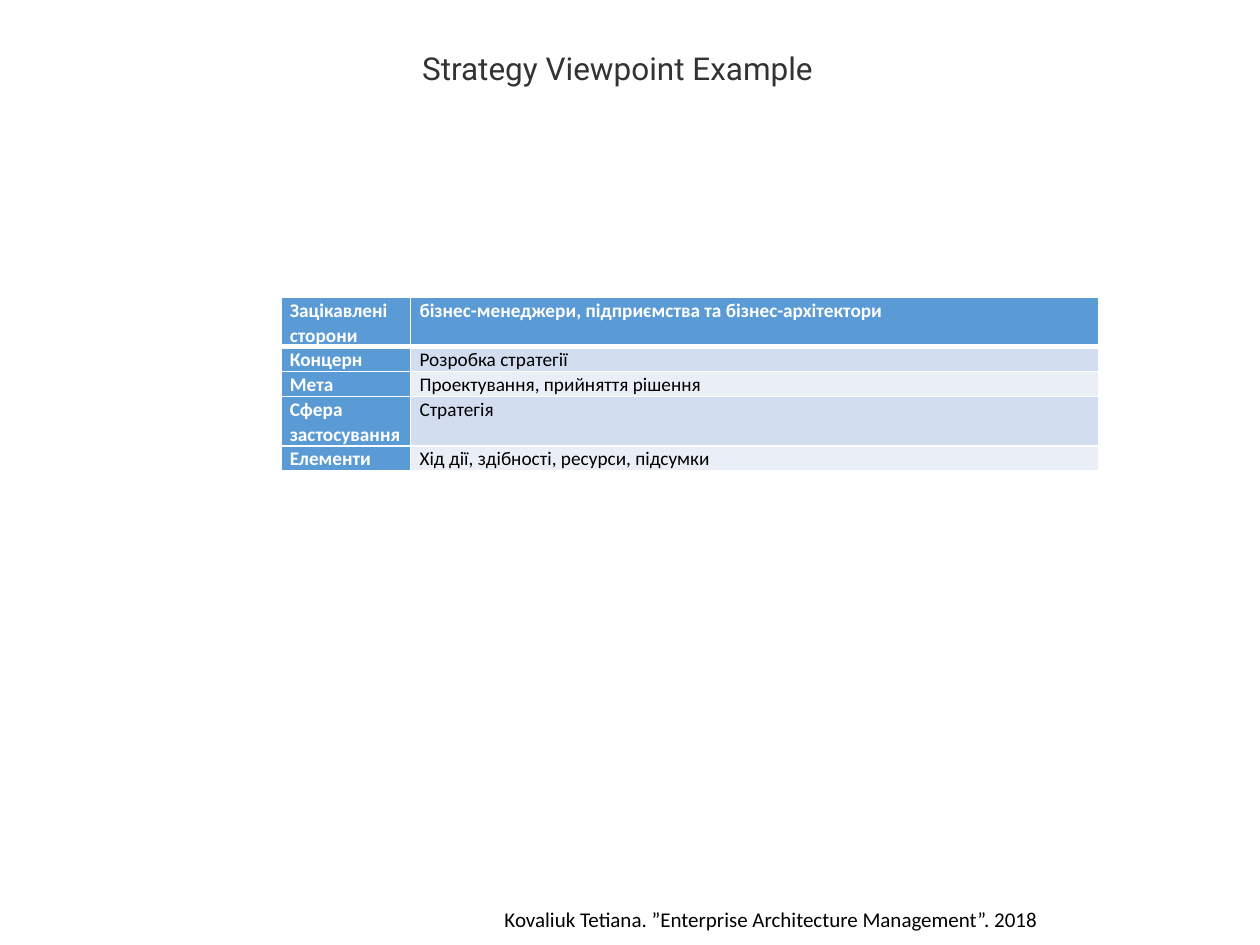
from dataclasses import dataclass

from lxml import etree
from pptx import Presentation
from pptx import util as u
from pptx.dml.color import RGBColor
from pptx.enum import text
from pptx.oxml.ns import qn

SLIDE_W, SLIDE_H = u.Inches(10), u.Inches(7.5)
WHITE, BLACK, GRAY = "FFFFFF", "000000", "333333"
BLUE, BANDS = "5B9BD5", ("EAEFF7", "D2DEEF")
LINE_H = u.Inches(0.19)  # height of one text line in the table
COLUMN_WIDTHS = (1.03, 5.46)


@dataclass(frozen=True)
class Aspect:
    label: str
    content: str
    lines: int = 1


ASPECTS = (
    Aspect("Зацікавлені сторони",
           "бізнес-менеджери, підприємства та бізнес-архітектори", 2),
    Aspect("Концерн", "Розробка стратегії"),
    Aspect("Мета", "Проектування, прийняття рішення"),
    Aspect("Сфера застосування", "Стратегія", 2),
    Aspect("Елементи", "Хід дії, здібності, ресурси, підсумки"),
)


def rgb(value: str) -> RGBColor:
    return RGBColor.from_string(value)


def format_runs(frame, size: float, font: str, color: str, bold: bool = False) -> None:
    for paragraph in frame.paragraphs:
        for run in paragraph.runs:
            run.font.size, run.font.name, run.font.bold = u.Pt(size), font, bold
            run.font.color.rgb = rgb(color)


def place(shape, left: float, top: float, width: float, height: float) -> None:
    """Position a shape by shares of the slide's size."""
    shape.left, shape.width = int(SLIDE_W * left), int(SLIDE_W * width)
    shape.top, shape.height = int(SLIDE_H * top), int(SLIDE_H * height)


def add_border(cell, side: str, points: float) -> None:
    line = etree.SubElement(cell._tc.get_or_add_tcPr(), qn(f"a:ln{side}"),
                            w=str(u.Pt(points)))
    fill = etree.SubElement(line, qn("a:solidFill"))
    etree.SubElement(fill, qn("a:srgbClr"), val=WHITE)


def fill_cell(cell, content: str, row: int, column: int) -> None:
    heading = row == 0 or column == 0
    cell.margin_left = cell.margin_right = u.Inches(0.07)
    cell.margin_top = cell.margin_bottom = 0
    # A thick rule separates the header row from the rest
    widths = {"L": 1, "R": 1, "T": 3 if row == 1 else 1, "B": 3 if row == 0 else 1}
    for side, points in widths.items():
        add_border(cell, side, points)
    cell.fill.solid()
    cell.fill.fore_color.rgb = rgb(BLUE if heading else BANDS[row % 2])
    cell.text_frame.text = content
    cell.text_frame.paragraphs[0].line_spacing = 1.07
    format_runs(cell.text_frame, 11, "Calibri", WHITE if heading else BLACK, heading)


def add_aspects(slide) -> None:
    height = LINE_H * sum(aspect.lines for aspect in ASPECTS)
    table = slide.shapes.add_table(
        len(ASPECTS), len(COLUMN_WIDTHS), u.Inches(2.23), u.Inches(2.36),
        u.Inches(sum(COLUMN_WIDTHS)), height).table
    for column, width in zip(table.columns, COLUMN_WIDTHS):
        column.width = u.Inches(width)
    for row, aspect in enumerate(ASPECTS):
        table.rows[row].height = LINE_H * aspect.lines
        for column, content in enumerate((aspect.label, aspect.content)):
            fill_cell(table.cell(row, column), content, row, column)


def add_title(slide) -> None:
    title = slide.shapes.title
    place(title, 0.325, 0.045, 0.335, 0.054)
    frame = title.text_frame
    frame.text = "Strategy Viewpoint Example"
    frame.word_wrap = False
    frame.auto_size = text.MSO_AUTO_SIZE.SHAPE_TO_FIT_TEXT
    frame.vertical_anchor = text.MSO_ANCHOR.TOP
    frame.paragraphs[0].alignment = text.PP_ALIGN.LEFT
    format_runs(frame, 18, "Roboto", GRAY)


def add_credit(slide) -> None:
    credit = slide.shapes.add_textbox(0, 0, 0, 0)
    place(credit, 0.224, 0.953, 0.776, 0.04)
    frame = credit.text_frame
    frame.text = "Kovaliuk Tetiana. ”Enterprise Architecture Management”. 2018"
    frame.word_wrap = True
    frame.auto_size = text.MSO_AUTO_SIZE.SHAPE_TO_FIT_TEXT
    frame.paragraphs[0].alignment = text.PP_ALIGN.CENTER
    format_runs(frame, 12, "Calibri", BLACK)


def main() -> None:
    deck = Presentation()
    deck.slide_width, deck.slide_height = SLIDE_W, SLIDE_H
    slide = deck.slides.add_slide(deck.slide_layouts.get_by_name("Title Only"))
    add_credit(slide)
    add_aspects(slide)
    add_title(slide)
    deck.save("out.pptx")


if __name__ == "__main__":
    main()
